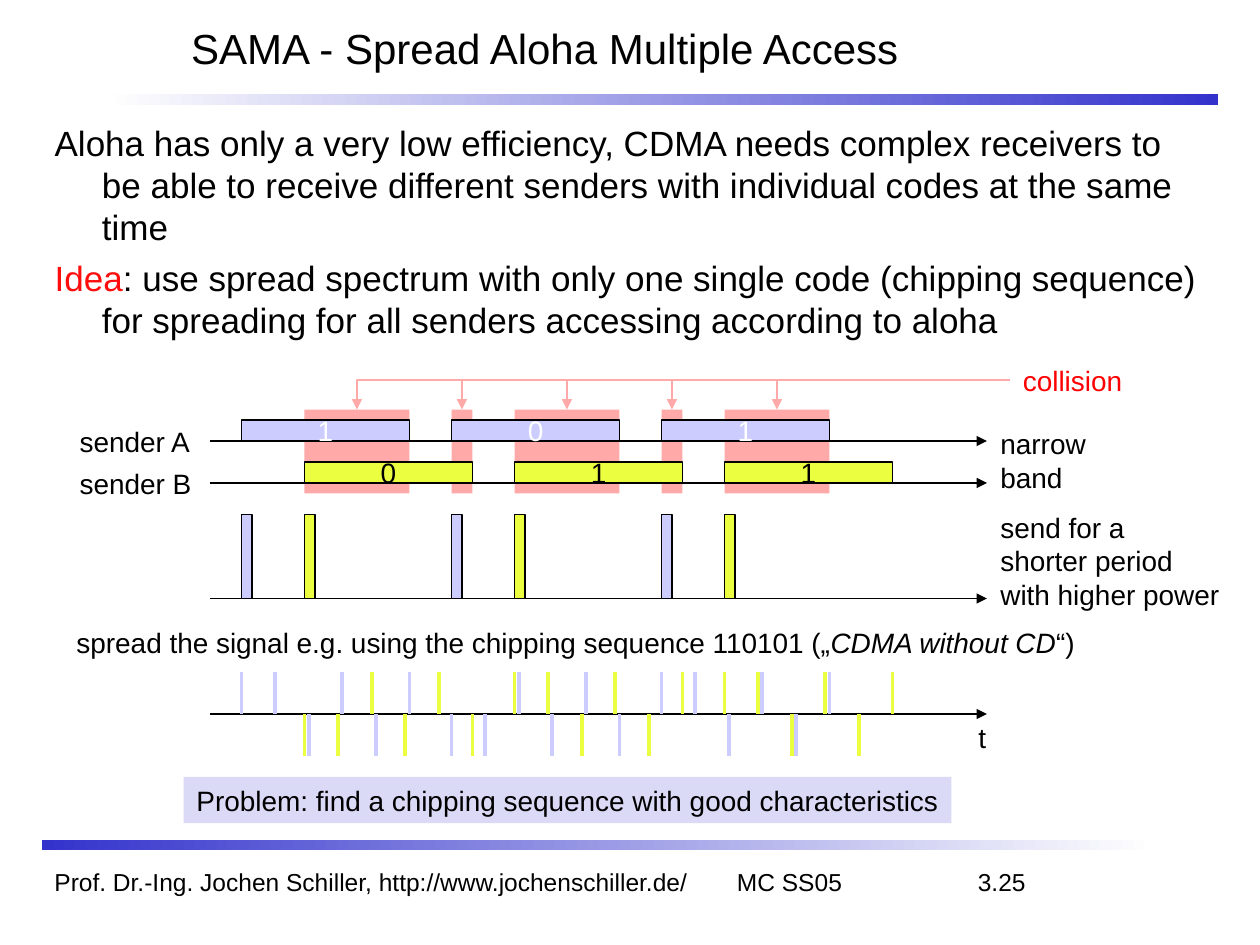
from itertools import product
from lxml import etree
from pptx import Presentation, util as u
from pptx.dml.color import RGBColor
from pptx.enum import dml, shapes, text
from pptx.oxml.ns import qn

PX = 7620
BLACK, WHITE, RED = "000000", "FFFFFF", "FF0000"
LILAC, YELLOW, PINK, BLUE = "CCCCFF", "ECFE40", "FFA9A9", "3333CC"
LEFT, CENTER = text.PP_ALIGN.LEFT, text.PP_ALIGN.CENTER

TITLE = "SAMA - Spread Aloha Multiple Access"
BODY = [
    [("Aloha has only a very low efficiency, CDMA needs complex receivers to be able "
      "to receive different senders with individual codes at the same time", BLACK)],
    [("Idea", "FF0D0D"),
     (": use spread spectrum with only one single code (chipping sequence) for "
      "spreading for all senders accessing according to aloha", BLACK)],
]
FOOTER = "Prof. Dr.-Ing. Jochen Schiller, http://www.jochenschiller.de/\tMC SS05\t3.25"
FOOTER_TABS = [(650, "l"), (925, "r")]
RULES = [(100, 90, WHITE, BLUE), (40, 800, BLUE, WHITE)]
SENDERS = [
    dict(bits="101", first=230, bar_top=400, fill=LILAC, ink=WHITE),
    dict(bits="011", first=290, bar_top=440, fill=YELLOW, ink=BLACK),
]
CHIPS = "110101"
BIT_STEP, BIT_W, BAR_H = 200, 160, 20
CHIP_STEP = BIT_W // (len(CHIPS) - 1)
AXIS_LEFT, AXIS_RIGHT = 200, 940
AXES = [420, 460, 570, 680]
PULSE_W, PULSE_H, CHIP_H = 10, 80, 40
COLLISION_TOP, COLLISION_H = 390, 80
COLLISION_SOURCE = (962, 362)
LABELS = [
    ((64, 398, 131, 44), [["sender A"]], BLACK, LEFT),
    ((64, 438, 131, 44), [["sender B"]], BLACK, LEFT),
    ((941, 400, 106, 77), [["narrow", "\n", "band"]], BLACK, LEFT),
    ((941, 480, 233, 108), [["send for a"], ["shorter period"], ["with higher power"]],
     BLACK, LEFT),
    ((61, 590, 978, 44),
     [["spread the signal e.g. using the chipping sequence 110101 („",
       ("CDMA without CD", True), "“)"]], BLACK, LEFT),
    ((920, 680, 31, 44), [["t"]], BLACK, CENTER),
    ((962, 340, 119, 44), [["collision"]], RED, CENTER),
]
PROBLEM = "Problem: find a chipping sequence with good characteristics"

prs = Presentation()
prs.slide_width, prs.slide_height = 1200 * PX, 900 * PX
slide = prs.slides.add_slide(prs.slide_layouts[1])


def rgb(color):
    return RGBColor.from_string(color)


def add_run(paragraph, words, size, color, italic=False):
    run = paragraph.add_run()
    run.text = words
    font = run.font
    font.name, font.size, font.italic = "Arial", u.Pt(size), italic
    font.color.rgb = rgb(color)


def place(target, left, top, width, height):
    target.left, target.top = left * PX, top * PX
    target.width, target.height = width * PX, height * PX


def paragraphs(frame, count):
    return [frame.paragraphs[0]] + [frame.add_paragraph() for _ in range(count - 1)]


def rect(left, top, width, height, fill=None, outline=None):
    box = slide.shapes.add_shape(shapes.MSO_SHAPE.RECTANGLE,
                                 left * PX, top * PX, width * PX, height * PX)
    box.shadow.inherit = False
    if fill:
        box.fill.solid()
        box.fill.fore_color.rgb = rgb(fill)
    if outline:
        box.line.color.rgb = rgb(outline)
        box.line.width = u.Pt(0.75)
    else:
        box.line.fill.background()
    return box


def line(start, end, color, width, arrow=False, bent=False, parent=slide):
    kind = shapes.MSO_CONNECTOR.ELBOW if bent else shapes.MSO_CONNECTOR.STRAIGHT
    link = parent.shapes.add_connector(kind, *(round(v * PX) for v in (*start, *end)))
    link.line.color.rgb = rgb(color)
    link.line.width = u.Pt(width)
    properties = link._element.spPr
    if bent:
        properties.find(qn("a:prstGeom")).set("prst", "bentConnector2")
    if arrow:
        etree.SubElement(link.line._get_or_add_ln(), qn("a:tailEnd"), type="triangle")
    etree.SubElement(properties, qn("a:effectLst"))


def caption(box, lines, color, align, fit=True):
    frame = box.text_frame
    frame.word_wrap = False
    frame.vertical_anchor = text.MSO_ANCHOR.MIDDLE
    frame.auto_size = text.MSO_AUTO_SIZE.SHAPE_TO_FIT_TEXT if fit else text.MSO_AUTO_SIZE.NONE
    for paragraph, runs in zip(paragraphs(frame, len(lines)), lines):
        paragraph.alignment = align
        for part in runs:
            words, italic = part if isinstance(part, tuple) else (part, False)
            if words == "\n":
                paragraph.add_line_break()
            else:
                add_run(paragraph, words, 16, color, italic)


def textbox(left, top, width, height):
    return slide.shapes.add_textbox(left * PX, top * PX, width * PX, height * PX)


for left, top, start, end in RULES:
    rule = rect(left, top, 1060, 10)
    rule.fill.gradient()
    rule.fill.gradient_angle = 0
    for stop, color, position in zip(rule.fill.gradient_stops, (start, end), (0, 1)):
        stop.color.rgb = rgb(color)
        stop.position = position

title = slide.shapes.title
place(title, 170, 0, 1010, 90)
title.text_frame.vertical_anchor = text.MSO_ANCHOR.MIDDLE
title.text_frame.auto_size = text.MSO_AUTO_SIZE.NONE
heading = title.text_frame.paragraphs[0]
heading.alignment = LEFT
add_run(heading, TITLE, 24, BLACK)

body = slide.placeholders[1]
place(body, 40, 110, 1120, 680)
body.text_frame.auto_size = text.MSO_AUTO_SIZE.NONE
for i, (paragraph, runs) in enumerate(zip(paragraphs(body.text_frame, len(BODY)), BODY)):
    properties = paragraph._p.get_or_add_pPr()
    properties.set("marL", str(45 * PX))
    properties.set("indent", str(-45 * PX))
    etree.SubElement(properties, qn("a:buNone"))
    paragraph.space_before = u.Pt(5 if i else 0)
    for words, color in runs:
        add_run(paragraph, words, 20, color)

footer = textbox(40, 820, 1050, 40)
footer.text_frame.word_wrap = True
credit = footer.text_frame.paragraphs[0]
tabs = etree.SubElement(credit._p.get_or_add_pPr(), qn("a:tabLst"))
for position, align in FOOTER_TABS:
    etree.SubElement(tabs, qn("a:tab"), pos=str(position * PX), algn=align)
add_run(credit, FOOTER, 14, BLACK)

starts = [[s["first"] + i * BIT_STEP for i in range(len(s["bits"]))] for s in SENDERS]
collisions = sorted((max(a, b), min(a, b) + BIT_W)
                    for a, b in product(*starts) if abs(a - b) < BIT_W)
for left, right in collisions:
    rect(left, COLLISION_TOP, right - left, COLLISION_H, PINK)

for y in AXES:
    line((AXIS_LEFT, y), (AXIS_RIGHT, y), BLACK, 0.75, arrow=True)

pulse_axis, chip_axis = AXES[2:]
for sender, lefts in zip(SENDERS, starts):
    for bit, left in zip(sender["bits"], lefts):
        bar = rect(left, sender["bar_top"], BIT_W, BAR_H, sender["fill"], BLACK)
        caption(bar, [[bit]], sender["ink"], CENTER, fit=False)
        rect(left, pulse_axis - PULSE_H, PULSE_W, PULSE_H, sender["fill"], BLACK)
        spread = slide.shapes.add_group_shape()
        for i, chip in enumerate(CHIPS):
            x = left + i * CHIP_STEP
            tip = chip_axis + (-CHIP_H if chip == bit else CHIP_H)
            line((x, chip_axis), (x, tip), sender["fill"], 2.25, parent=spread)

for place_at, lines, color, align in LABELS:
    caption(textbox(*place_at), lines, color, align)
caption(rect(175, 740, 731, 44, "DADAF6"), [[PROBLEM]], BLACK, CENTER)

for left, right in collisions:
    line(COLLISION_SOURCE, ((left + right) / 2, COLLISION_TOP), PINK, 0.75,
         arrow=True, bent=True)

prs.save("out.pptx")
